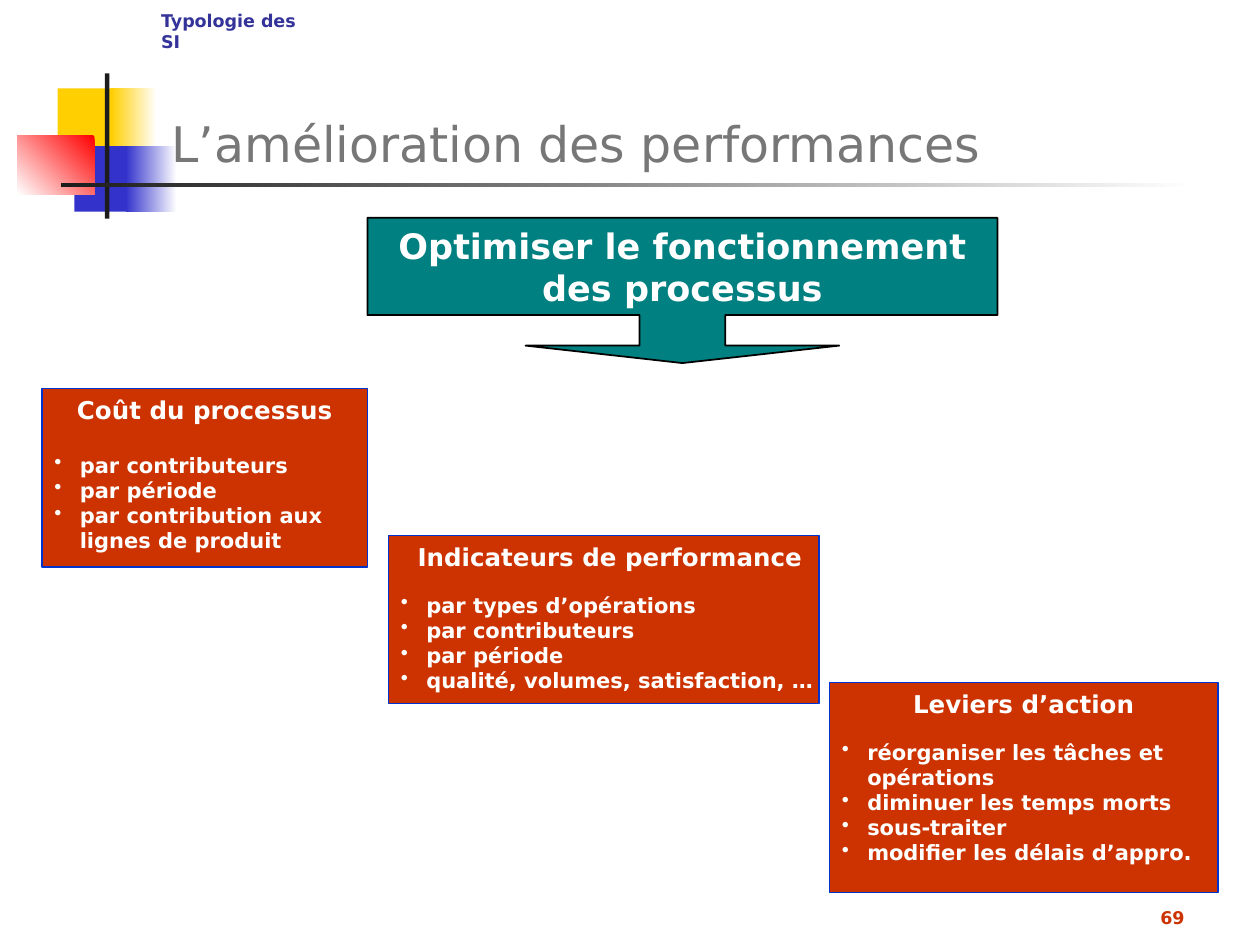
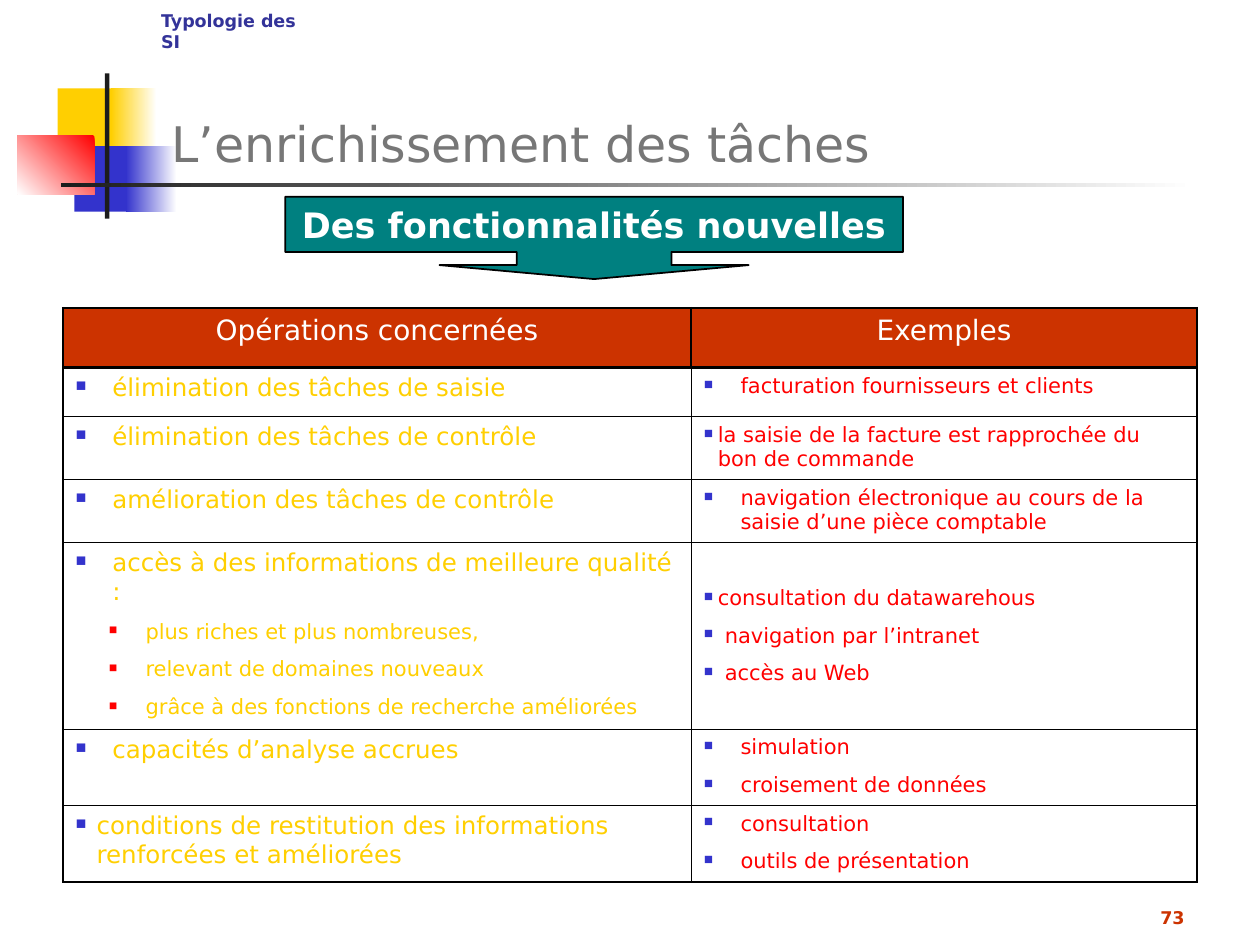
from lxml import etree
from pptx import Presentation
from pptx.dml.color import RGBColor
from pptx.enum.shapes import MSO_SHAPE
from pptx.enum.text import MSO_ANCHOR, PP_ALIGN
from pptx.oxml.ns import qn
from pptx.util import Pt

RECTANGLE = MSO_SHAPE.RECTANGLE
ARROW_CALLOUT = MSO_SHAPE.DOWN_ARROW_CALLOUT
LEFT, CENTER, RIGHT = PP_ALIGN.LEFT, PP_ALIGN.CENTER, PP_ALIGN.RIGHT
TOP, MIDDLE, BOTTOM = MSO_ANCHOR.TOP, MSO_ANCHOR.MIDDLE, MSO_ANCHOR.BOTTOM

FONT = "DejaVu Sans"
WHITE = RGBColor(0xFF, 0xFF, 0xFF)
BLACK = RGBColor(0x00, 0x00, 0x00)
YELLOW = RGBColor(0xFF, 0xCF, 0x01)
BLUE = RGBColor(0x33, 0x33, 0xCC)
RED = RGBColor(0xFF, 0x00, 0x00)
CHARCOAL = RGBColor(0x1C, 0x1C, 0x1C)
GREY = RGBColor(0x77, 0x77, 0x77)
NAVY = RGBColor(0x33, 0x33, 0x99)
BRICK = RGBColor(0xCC, 0x33, 0x00)
EDGE_BLUE = RGBColor(0x00, 0x33, 0xCC)
TEAL = RGBColor(0x00, 0x80, 0x80)

HEADER_RULE, OUTER_RULE, COLUMN_RULE, ROW_RULE = 1.47, 1.08, 0.45, 0.11
HANG = 21
COLUMN_WIDTHS = (359, 289)
ROW_HEIGHTS = (34, 28, 36, 36, 105, 43.5, 44)

# Each entry: wording, then the hanging indent of its bullet
OPERATIONS = [
    ([("élimination des tâches de saisie", HANG)],
     [("facturation fournisseurs et clients", HANG)]),
    ([("élimination des tâches de contrôle", HANG)],
     [("la saisie de la facture est rapprochée du bon de commande", 8)]),
    ([("amélioration des tâches de contrôle", HANG)],
     [("navigation électronique au cours de la saisie d’une pièce comptable", HANG)]),
    ([("accès à des informations de meilleure qualité :", HANG),
      ("plus riches et plus nombreuses,", HANG),
      ("relevant de domaines nouveaux", HANG),
      ("grâce à des fonctions de recherche améliorées", HANG)],
     [("consultation du datawarehous", 8),
      ("navigation par l’intranet", 12),
      ("accès au Web", 12)]),
    ([("capacités d’analyse accrues", HANG)],
     [("simulation", HANG), ("croisement de données", HANG)]),
    ([("conditions de restitution des informations renforcées et améliorées", 12)],
     [("consultation", HANG), ("outils de présentation", HANG)]),
]


def points(*lengths):
    return [Pt(length) for length in lengths]


def add_bullet(paragraph, mark, color, percent, start, hang):
    props = paragraph._p.get_or_add_pPr()
    props.set("marL", str(Pt(start + hang)))
    props.set("indent", str(-Pt(hang)))
    tint = etree.SubElement(props, qn("a:buClr"))
    etree.SubElement(tint, qn("a:srgbClr"), val=str(color))
    etree.SubElement(props, qn("a:buSzPct"), val=str(percent * 1000))
    etree.SubElement(props, qn("a:buChar"), char=mark)


def write(frame, text, size=12, color=WHITE, bold=False, align=LEFT,
          before=0, after=0, bullet=None):
    """Fill the empty first paragraph of the frame, or add one after the last."""
    paragraph = frame.paragraphs[0]
    if paragraph.runs:
        paragraph = frame.add_paragraph()
        paragraph.space_before = Pt(before)
    if bullet:
        add_bullet(paragraph, **bullet)
    paragraph.alignment = align
    paragraph.space_after = Pt(after)
    run = paragraph.add_run()
    run.text = text
    run.font.name = FONT
    run.font.size = Pt(size)
    run.font.bold = bold
    run.font.color.rgb = color


def add_label(slide, box, text, anchor=TOP, **text_format):
    frame = slide.shapes.add_textbox(*points(*box)).text_frame
    frame.word_wrap = True
    frame.vertical_anchor = anchor
    write(frame, text, **text_format)


def add_block(slide, box, fill, kind=RECTANGLE, edge=None, edge_width=0.75):
    block = slide.shapes.add_shape(kind, *points(*box))
    block.shadow.inherit = False
    block.fill.solid()
    block.fill.fore_color.rgb = fill
    if edge is None:
        block.line.fill.background()
    else:
        block.line.color.rgb = edge
        block.line.width = Pt(edge_width)
    return block


def add_fade(slide, box, start, end, angle=180):
    fill = add_block(slide, box, start).fill
    fill.gradient()
    fill.gradient_angle = angle
    for stop, color in zip(fill.gradient_stops, (start, end)):
        stop.color.rgb = color


def add_decor(slide):
    add_block(slide, (33, 50.5, 34.5, 37.5), YELLOW)
    add_fade(slide, (63.5, 50.5, 26, 37.5), WHITE, YELLOW)
    add_block(slide, (42.5, 83.5, 33, 37.5), BLUE)
    add_fade(slide, (72, 83.5, 29, 37.5), WHITE, BLUE)
    add_fade(slide, (10, 77.5, 44, 33.5), RED, WHITE, angle=225)
    add_block(slide, (60, 42, 2.5, 83), CHARCOAL)
    add_fade(slide, (35, 104.5, 648, 2.5), WHITE, CHARCOAL)


def add_base_slide(deck, title, number):
    """Add a slide with the shared decor, section name, title and number."""
    slide = deck.slides.add_slide(deck.slide_layouts[6])
    add_decor(slide)
    add_label(slide, (91, 12, 613, 90), title, anchor=BOTTOM, size=28, color=GREY)
    add_label(slide, (85, 2, 94, 32), "Typologie des SI", size=10, color=NAVY, bold=True)
    add_label(slide, (534, 498, 150, 36), number, anchor=BOTTOM,
              size=10, color=BRICK, bold=True, align=RIGHT)
    return slide


def add_callout(slide, box, text, adjustments):
    callout = add_block(slide, box, TEAL, ARROW_CALLOUT, BLACK, 1)
    for index, value in enumerate(adjustments):
        callout.adjustments[index] = value
    frame = callout.text_frame
    frame.word_wrap = True
    frame.vertical_anchor = MIDDLE
    write(frame, text, size=20, bold=True, align=CENTER)


def add_card(slide, box, heading, items, gap=12, right_inset=7.2):
    frame = add_block(slide, box, BRICK, edge=EDGE_BLUE).text_frame
    frame.word_wrap = True
    frame.vertical_anchor = TOP
    frame.margin_right = Pt(right_inset)
    write(frame, heading, size=14, bold=True, align=CENTER, after=gap)
    dot = dict(mark="•", color=WHITE, percent=100, start=0, hang=14.5)
    for item in items:
        write(frame, item, bold=True, bullet=dot)


def set_borders(cell, left, right, top, bottom):
    props = cell._tc.get_or_add_tcPr()
    widths = {"a:lnL": left, "a:lnR": right, "a:lnT": top, "a:lnB": bottom}
    for position, (tag, width) in enumerate(widths.items()):
        line = etree.Element(qn(tag), w=str(Pt(width)))
        fill = etree.SubElement(line, qn("a:solidFill"))
        etree.SubElement(fill, qn("a:srgbClr"), val=str(BLACK))
        props.insert(position, line)


def fill_operation(cell, entries):
    """Write the main operation, then its sub-points one level deeper."""
    for level, (text, hang) in enumerate(entries):
        if level == 0:
            square = dict(mark="■", color=BLUE, percent=60, start=0, hang=hang)
            write(cell.text_frame, text, size=14, color=YELLOW, bullet=square)
        else:
            square = dict(mark="■", color=RED, percent=55, start=19, hang=hang)
            write(cell.text_frame, text, color=YELLOW, before=7.5, bullet=square)


def fill_examples(cell, entries):
    for text, hang in entries:
        square = dict(mark="■", color=BLUE, percent=60, start=0, hang=hang)
        write(cell.text_frame, text, color=RED, before=7.5, bullet=square)


def add_operations_table(slide):
    box = (36, 176, sum(COLUMN_WIDTHS), sum(ROW_HEIGHTS))
    table = slide.shapes.add_table(len(ROW_HEIGHTS), 2, *points(*box)).table
    table.horz_banding = False
    table.first_row = False
    for column, width in zip(table.columns, COLUMN_WIDTHS):
        column.width = Pt(width)
    for row, height in zip(table.rows, ROW_HEIGHTS):
        row.height = Pt(height)

    for column, heading in enumerate(("Opérations concernées", "Exemples")):
        cell = table.cell(0, column)
        cell.fill.solid()
        cell.fill.fore_color.rgb = BRICK
        set_borders(cell, *[HEADER_RULE] * 4)
        write(cell.text_frame, heading, size=16, align=CENTER)

    last = len(OPERATIONS)
    for row, (operation, examples) in enumerate(OPERATIONS, start=1):
        top = HEADER_RULE if row == 1 else ROW_RULE
        bottom = OUTER_RULE if row == last else ROW_RULE
        operation_cell, examples_cell = table.cell(row, 0), table.cell(row, 1)
        for cell in (operation_cell, examples_cell):
            cell.fill.background()
        set_borders(operation_cell, OUTER_RULE, COLUMN_RULE, top, bottom)
        set_borders(examples_cell, COLUMN_RULE, OUTER_RULE, top, bottom)
        fill_operation(operation_cell, operation)
        fill_examples(examples_cell, examples)
        if len(examples) > 2:
            examples_cell.vertical_anchor = MIDDLE


def add_performance_slide(deck):
    slide = add_base_slide(deck, "L’amélioration des performances", "69")
    add_card(slide, (24, 222, 186, 102), "Coût du processus",
             ["par contributeurs", "par période",
              "par contribution aux lignes de produit"], gap=16)
    add_card(slide, (222, 306, 246, 96), "Indicateurs de performance",
             ["par types d’opérations", "par contributeurs", "par période",
              "qualité, volumes, satisfaction, …"], right_inset=0)
    add_card(slide, (474, 390, 222, 120), "Leviers d’action",
             ["réorganiser les tâches et opérations", "diminuer les temps morts",
              "sous-traiter", "modifier les délais d’appro."])
    add_callout(slide, (210, 124.5, 360, 83), "Optimiser le fonctionnement des processus",
                (0.59, 1.08, 0.12, 0.67))


def add_tasks_slide(deck):
    slide = add_base_slide(deck, "L’enrichissement des tâches", "73")
    add_operations_table(slide)
    add_callout(slide, (163, 112.5, 353, 47), "Des fonctionnalités nouvelles",
                (1.88, 1.88, 0.17, 0.67))


def main():
    deck = Presentation()
    deck.slide_width, deck.slide_height = points(720, 540)
    add_performance_slide(deck)
    add_tasks_slide(deck)
    deck.save("out.pptx")


if __name__ == "__main__":
    main()
